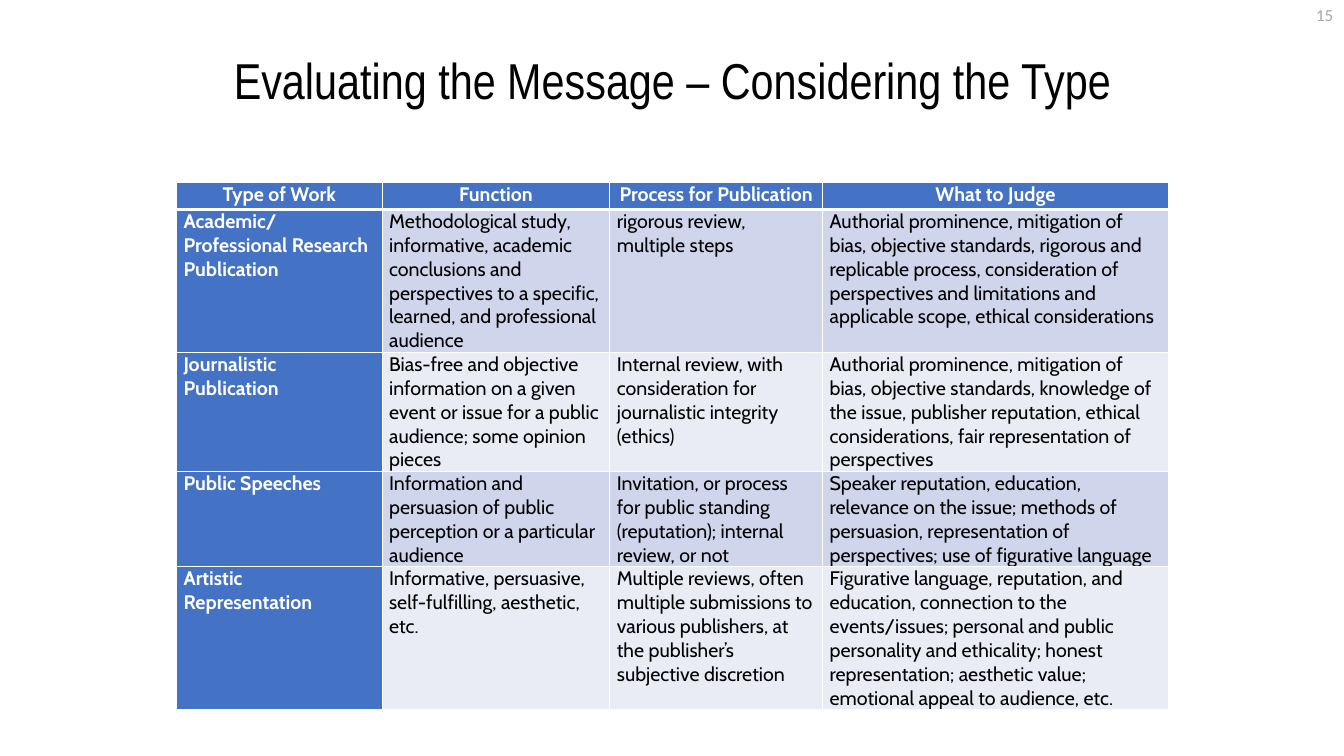
"""Build a slide with a table on judging messages by type of work."""
from dataclasses import dataclass

from lxml import etree
from pptx import Presentation
from pptx import util as u
from pptx.dml.color import RGBColor
from pptx.enum import text as t
from pptx.oxml import ns

WIDE, HIGH = u.Inches(13.33), u.Inches(7.5)
WHITE = RGBColor(0xFF, 0xFF, 0xFF)
BLACK = RGBColor(0, 0, 0)
GREY = RGBColor(0xA6, 0xA6, 0xA6)
BLUE = RGBColor(0x44, 0x72, 0xC4)
BANDS = (RGBColor(0xCF, 0xD5, 0xEA), RGBColor(0xE9, 0xEB, 0xF5))
COLS = (15.3, 16.95, 15.83, 25.73)
HEAD, LINE = 3.6, 3.15


@dataclass(frozen=True)
class Box:
    """A place in percent of the slide's width and height."""
    left: float
    top: float
    width: float
    height: float

    def spots(self) -> tuple[int, int, int, int]:
        """Return left, top, width and height as lengths."""
        return across(self.left), down(self.top), across(self.width), down(self.height)


@dataclass(frozen=True)
class Style:
    """The look of a paragraph."""
    font: str
    size: int
    color: RGBColor
    align: t.PP_ALIGN
    bold: bool = False


@dataclass(frozen=True)
class Work:
    """A type of work, its three notes and its height in text lines."""
    name: str
    aim: str
    process: str
    judge: str
    lines: int


TITLE = Style("Arial Narrow", 36, BLACK, t.PP_ALIGN.CENTER)
PAGE = Style("Calibri", 12, GREY, t.PP_ALIGN.RIGHT)
TOP = Style("Cabin", 14, WHITE, t.PP_ALIGN.CENTER, True)
SIDE = Style("Cabin", 14, WHITE, t.PP_ALIGN.LEFT, True)
BODY = Style("Cabin", 14, BLACK, t.PP_ALIGN.LEFT)

HEADS = ("Type of Work", "Function", "Process for Publication", "What to Judge")
WORKS = (
    Work("Academic/Professional Research Publication",
         "Methodological study, informative, academic conclusions and perspectives "
         "to a specific, learned, and professional audience",
         "rigorous review, multiple steps",
         "Authorial prominence, mitigation of bias, objective standards, rigorous and "
         "replicable process, consideration of perspectives and limitations and "
         "applicable scope, ethical considerations", 6),
    Work("Journalistic Publication",
         "Bias-free and objective information on a given event or issue for a public "
         "audience; some opinion pieces",
         "Internal review, with consideration for journalistic integrity (ethics)",
         "Authorial prominence, mitigation of bias, objective standards, knowledge of "
         "the issue, publisher reputation, ethical considerations, fair "
         "representation of perspectives", 5),
    Work("Public Speeches",
         "Information and persuasion of public perception or a particular audience",
         "Invitation, or process for public standing (reputation); internal review, or not",
         "Speaker reputation, education, relevance on the issue; methods of persuasion, "
         "representation of perspectives; use of figurative language", 4),
    Work("Artistic Representation",
         "Informative, persuasive, self-fulfilling, aesthetic, etc.",
         "Multiple reviews, often multiple submissions to various publishers, at the "
         "publisher’s subjective discretion",
         "Figurative language, reputation, and education, connection to the "
         "events/issues; personal and public personality and ethicality; honest "
         "representation; aesthetic value; emotional appeal to audience, etc.", 6),
)


def across(share: float) -> int:
    """Turn a percentage of the slide's width into a length."""
    return round(WIDE * share / 100)


def down(share: float) -> int:
    """Turn a percentage of the slide's height into a length."""
    return round(HIGH * share / 100)


def write(frame, words: str, style: Style):
    """Put one styled paragraph in a text frame and return it."""
    frame.word_wrap = True
    para = frame.paragraphs[0]
    para.text = words
    para.alignment = style.align
    font = para.font
    font.name, font.size, font.bold = style.font, u.Pt(style.size), style.bold
    font.color.rgb = style.color
    return para


def edge(cell, side: str, points: int) -> None:
    """Draw one white border of a cell."""
    line = etree.SubElement(cell._tc.get_or_add_tcPr(), ns.qn(f"a:ln{side}"),
                            w=str(u.Pt(points)))
    fill = etree.SubElement(line, ns.qn("a:solidFill"))
    etree.SubElement(fill, ns.qn("a:srgbClr"), val=str(WHITE))


def fill_cell(cell, words: str, row: int, col: int) -> None:
    """Write, border and colour one cell by its place in the table."""
    style = TOP if row == 0 else SIDE if col == 0 else BODY
    cell.margin_left = cell.margin_right = u.Inches(0.07)
    cell.margin_top = cell.margin_bottom = 0
    write(cell.text_frame, words, style)
    for side in "LRTB":
        edge(cell, side, 3 if (row, side) in ((0, "B"), (1, "T")) else 1)
    cell.fill.solid()
    cell.fill.fore_color.rgb = BANDS[(row - 1) % 2] if style is BODY else BLUE


def add_grid(slide) -> None:
    """Add the table of works."""
    tall = [HEAD] + [work.lines * LINE for work in WORKS]
    box = Box(13.13, 24.13, sum(COLS), sum(tall))
    grid = slide.shapes.add_table(len(tall), len(COLS), *box.spots()).table
    grid.first_col = True
    for col, share in zip(grid.columns, COLS):
        col.width = across(share)
    for row, share in zip(grid.rows, tall):
        row.height = down(share)
    rows = [HEADS] + [(w.name, w.aim, w.process, w.judge) for w in WORKS]
    for i, row in enumerate(rows):
        for j, words in enumerate(row):
            fill_cell(grid.cell(i, j), words, i, j)


def main() -> None:
    """Build and save the slide."""
    deck = Presentation()
    deck.slide_width, deck.slide_height = WIDE, HIGH
    slide = deck.slides.add_slide(deck.slide_layouts[5])
    page = slide.shapes.add_textbox(*Box(96.62, 0, 3.3, 5.33).spots())
    write(page.text_frame, "15", PAGE)
    title = slide.shapes.title
    title.left, title.top, title.width, title.height = Box(6.9, 5.33, 86.27, 11.33).spots()
    frame = title.text_frame
    frame.auto_size = t.MSO_AUTO_SIZE.NONE
    frame.vertical_anchor = t.MSO_ANCHOR.MIDDLE
    para = write(frame, "Evaluating the Message – Considering the Type", TITLE)
    para.line_spacing = 0.9
    add_grid(slide)
    deck.save("out.pptx")


if __name__ == "__main__":
    main()
